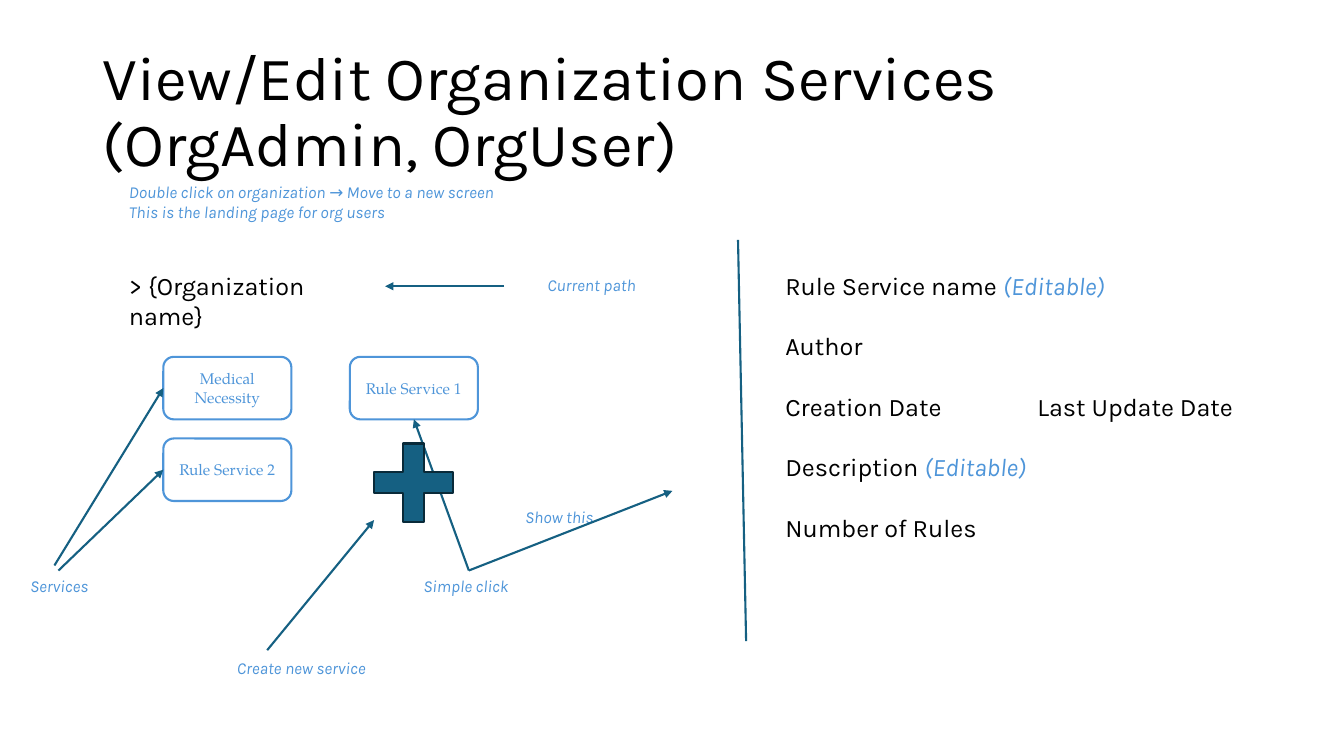
from lxml import etree
from pptx import Presentation
from pptx.dml.color import RGBColor
from pptx.enum import shapes as kinds, text as t
from pptx.oxml.ns import qn
from pptx.util import Inches, Pt

COLORS = {"ink": "000000", "note": "4E95D9", "arrow": "156082", "edge": "092A39"}
BODY_FONT, CARD_FONT = "Karla", "TeX Gyre Pagella"

TITLE = "View/Edit Organization Services (OrgAdmin, OrgUser)"
NOTES = [
    (["Double click on organization → Move to a new screen",
      "This is the landing page for org users"], (1.18, 1.75, 4.05, 0.5)),
    (["Current path"], (5.33, 2.68, 1.12, 0.3)),
    (["Services"], (0.2, 5.66, 0.82, 0.3)),
    (["Simple click"], (4.1, 5.66, 1.09, 0.3)),
    (["Show this"], (5.11, 4.98, 1.25, 0.4)),
    (["Create new service"], (2.25, 6.48, 1.59, 0.3)),
]
CURRENT_PATH = (["> {Organization name}"], (1.18, 2.63, 2.64, 0.4))
EDITABLE = "(Editable)"
DETAILS = [
    ("Rule Service name ", EDITABLE),
    ("Author",),
    ("Creation Date\t\tLast Update Date",),
    ("Description ", EDITABLE),
    ("Number of Rules",),
]
DETAILS_BOX = (7.69, 2.63, 5.12, 2.83)

SERVICES = [("Medical Necessity", 0, 0), ("Rule Service 1", 1, 0), ("Rule Service 2", 0, 1)]
GRID_LEFT, GRID_TOP, COLUMN_STEP, ROW_STEP = 1.62, 3.54, 1.85, 0.81
CARD_WIDTH, CARD_HEIGHT = 1.27, 0.62
LEFT_SITE, BOTTOM_SITE = 1, 2

PLUS_BOX = (3.71, 4.4, 0.78, 0.78)
SERVICE_ARROWS = [
    ((0.58, 5.66), "Rule Service 2", LEFT_SITE),
    ((0.54, 5.61), "Medical Necessity", LEFT_SITE),
    ((4.65, 5.66), "Rule Service 1", BOTTOM_SITE),
]
FREE_ARROWS = [
    ((5, 2.84), (3.82, 2.84)),
    ((4.65, 5.66), (6.67, 4.87)),
    ((2.65, 6.45), (3.71, 5.16)),
]
DIVIDER = ((7.32, 2.38), (7.4, 6.36))


def rgb(name):
    return RGBColor.from_string(COLORS[name])


def inches(values):
    return [Inches(value) for value in values]


def style(font, size, color, name=BODY_FONT, italic=False):
    font.size, font.name, font.italic = Pt(size), name, italic
    font.color.rgb = rgb(color)


def add_box(slide, box):
    frame = slide.shapes.add_textbox(*inches(box)).text_frame
    frame.word_wrap = True
    frame.auto_size = t.MSO_AUTO_SIZE.SHAPE_TO_FIT_TEXT
    return frame


def add_lines(slide, lines, box, size, color, italic):
    frame = add_box(slide, box)
    frame.text = "\n".join(lines)
    for paragraph in frame.paragraphs:
        style(paragraph.font, size, color, italic=italic)


def add_details(slide):
    frame = add_box(slide, DETAILS_BOX)
    for index, parts in enumerate(DETAILS):
        paragraph = frame.add_paragraph() if index else frame.paragraphs[0]
        if index:
            paragraph.space_before = Pt(21.6)
        for part in parts:
            run = paragraph.add_run()
            run.text = part
            editable = part == EDITABLE
            style(run.font, 18, "note" if editable else "ink", italic=editable)


def add_line(slide, start, end, arrow=True):
    line = slide.shapes.add_connector(
        kinds.MSO_CONNECTOR.STRAIGHT, *inches(start + end))
    line.line.color.rgb = rgb("arrow")
    line.line.width = Pt(1.5)
    if arrow:
        etree.SubElement(line.line._get_or_add_ln(), qn("a:tailEnd"), type="triangle")
    etree.SubElement(line._element.spPr, qn("a:effectLst"))
    return line


def add_shape(slide, kind, box, edge):
    shape = slide.shapes.add_shape(kind, *inches(box))
    shape.shadow.inherit = False
    shape.line.color.rgb = rgb(edge)
    shape.line.width = Pt(1.5)
    return shape


def add_card(slide, label, column, row):
    box = (GRID_LEFT + column * COLUMN_STEP, GRID_TOP + row * ROW_STEP,
           CARD_WIDTH, CARD_HEIGHT)
    card = add_shape(slide, kinds.MSO_SHAPE.ROUNDED_RECTANGLE, box, "note")
    card.fill.background()
    card.text_frame.text = label
    card.text_frame.vertical_anchor = t.MSO_ANCHOR.MIDDLE
    paragraph = card.text_frame.paragraphs[0]
    paragraph.alignment = t.PP_ALIGN.CENTER
    style(paragraph.font, 11, "note", CARD_FONT)
    return card


def add_title(slide):
    title = slide.shapes.title
    title.left, title.top, title.width, title.height = inches((0.92, 0.4, 11.5, 1.45))
    frame = title.text_frame
    frame.text = TITLE
    frame.word_wrap = True
    frame.auto_size = t.MSO_AUTO_SIZE.NONE
    frame.vertical_anchor = t.MSO_ANCHOR.MIDDLE
    heading = frame.paragraphs[0]
    heading.alignment = t.PP_ALIGN.LEFT
    heading.line_spacing = 0.9
    style(heading.font, 44, "ink")


def main():
    deck = Presentation()
    deck.slide_width, deck.slide_height = inches((13.33, 7.5))
    slide = deck.slides.add_slide(deck.slide_layouts[5])

    add_title(slide)
    for lines, box in NOTES:
        add_lines(slide, lines, box, 12, "note", True)
    add_lines(slide, *CURRENT_PATH, 18, "ink", False)

    cards = {label: add_card(slide, label, column, row)
             for label, column, row in SERVICES}
    for start, label, site in SERVICE_ARROWS:
        add_line(slide, start, start).end_connect(cards[label], site)
    for start, end in FREE_ARROWS:
        add_line(slide, start, end)
    add_line(slide, *DIVIDER, arrow=False)
    add_details(slide)

    plus = add_shape(slide, kinds.MSO_SHAPE.CROSS, PLUS_BOX, "edge")
    plus.adjustments[0] = 0.365
    plus.fill.solid()
    plus.fill.fore_color.rgb = rgb("arrow")

    deck.save("out.pptx")


if __name__ == "__main__":
    main()
